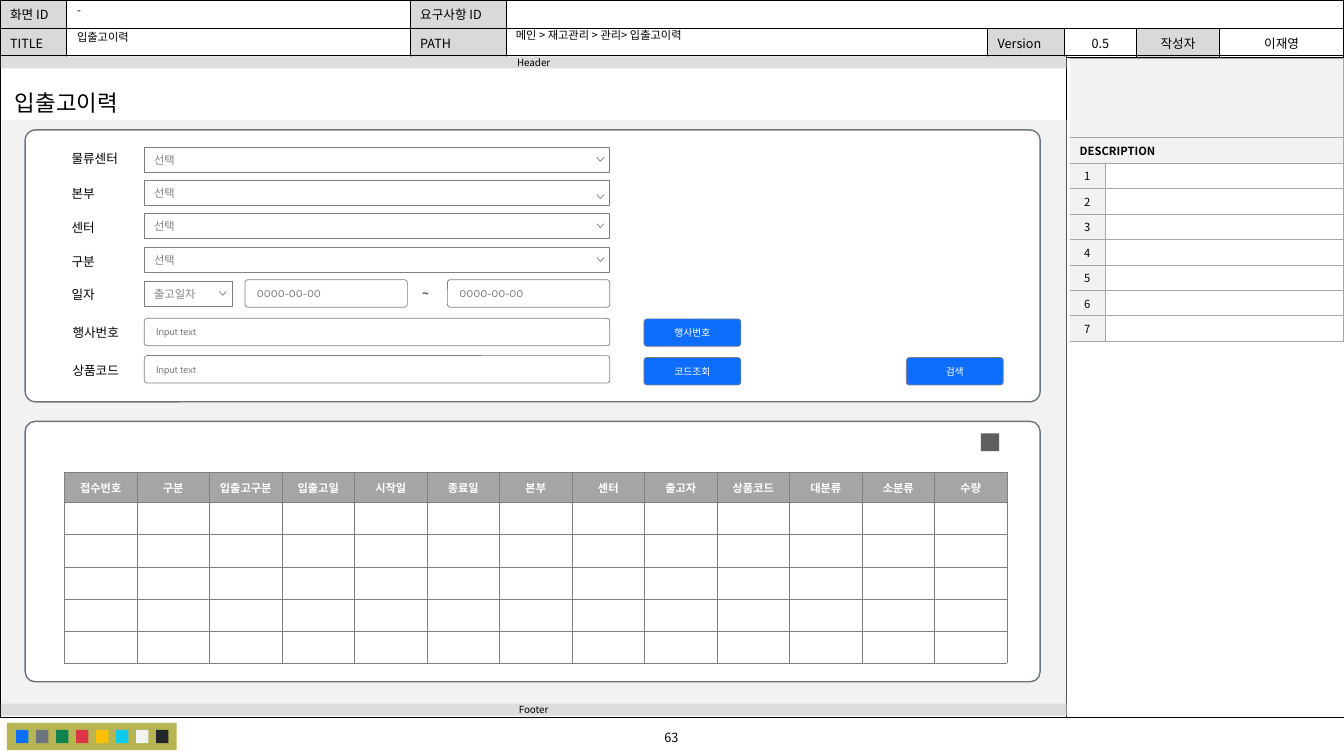
from lxml import etree
from pptx import Presentation
from pptx.dml.color import RGBColor
from pptx.enum.shapes import MSO_CONNECTOR, MSO_SHAPE
from pptx.enum.text import MSO_ANCHOR, PP_ALIGN
from pptx.oxml.ns import qn
from pptx.util import Pt

RECT, ROUND = MSO_SHAPE.RECTANGLE, MSO_SHAPE.ROUNDED_RECTANGLE
LEFT, CENTER = PP_ALIGN.LEFT, PP_ALIGN.CENTER
TOP, MIDDLE = MSO_ANCHOR.TOP, MSO_ANCHOR.MIDDLE
STRAIGHT = MSO_CONNECTOR.STRAIGHT
SANS, CABIN = "Noto Sans CJK KR", "Cabin"
BLACK, WHITE, GRAY, PALE = "000000", "FFFFFF", "808080", "F2F2F2"
SLATE, BLUE, LABEL, RULE = "6C757D", "0D6EFD", "D9D9D9", "A6A6A6"
DEFAULT_INSETS = (7.2, 3.6, 7.2, 3.6)
FIELD_LEFT, FIELD_WIDTH = 103, 332.6

PALETTE = [BLUE, SLATE, "10834E", "DC3545", "FFBE00", "0DCAF0", PALE, "212529"]
# label, left, top
LABELS = [("물류센터", 44, 104.4), ("본부", 44, 129.4), ("센터", 44, 153.4),
          ("구분", 44, 177.8), ("일자", 44, 201.6), ("행사번호", 44.7, 228.4),
          ("상품코드", 44.7, 255.6)]
# text, top, width, chevron drop
SELECTS = [("선택", 105.2, FIELD_WIDTH, 7.2), ("선택", 128.8, FIELD_WIDTH, 10.2),
           ("선택", 152.3, FIELD_WIDTH, 7.5), ("선택", 176.8, FIELD_WIDTH, 7.2),
           ("출고일자", 200.9, 62.8, 7.2)]
# text, left, top, width
INPUTS = [("0000-00-00", 175, 199.8, 116), ("0000-00-00", 319.6, 199.8, 116),
          ("Input text", FIELD_LEFT, 227.4, FIELD_WIDTH),
          ("Input text", FIELD_LEFT, 254, FIELD_WIDTH)]
BUTTONS = [("행사번호", 460, 227.8), ("코드조회", 460, 255.4), ("검색", 647.4, 255.4)]
HISTORY_COLUMNS = ["접수번호", "구분", "입출고구분", "입출고일", "시작일", "종료일", "본부",
                   "센터", "출고자", "상품코드", "대분류", "소분류", "수량"]
SCREEN_ROWS = [["화면 ID", "", "요구사항 ID", "", "", "", "", ""],
               ["TITLE", "", "PATH", "", "Version", "0.5", "작성자", "이재영"]]


def rgb(value):
    return RGBColor.from_string(value)


def write(tf, text, size, color=BLACK, font=SANS, align=LEFT, anchor=TOP,
          insets=DEFAULT_INSETS, wrap=True):
    tf.word_wrap = wrap
    tf.vertical_anchor = anchor
    tf.margin_left, tf.margin_top, tf.margin_right, tf.margin_bottom = map(Pt, insets)
    p = tf.paragraphs[0]
    p.alignment = align
    r = p.add_run()
    r.text = text
    style_run(r, size, color, font)
    return p


def style_run(r, size, color, font=SANS, bold=False):
    r.font.size = Pt(size)
    r.font.bold = bold
    r.font.name = font
    r.font.color.rgb = rgb(color)
    ea = etree.SubElement(r.font._element, qn("a:ea"))
    ea.set("typeface", SANS)


def text_box(s, x, y, w, h, text, size=9, **style):
    sp = s.shapes.add_textbox(Pt(x), Pt(y), Pt(w), Pt(h))
    return write(sp.text_frame, text, size, **style)


def paint(sp, fill, line, width):
    sp.shadow.inherit = False
    if fill:
        sp.fill.solid()
        sp.fill.fore_color.rgb = rgb(fill)
    else:
        sp.fill.background()
    if line:
        sp.line.color.rgb = rgb(line)
        sp.line.width = Pt(width)
    else:
        sp.line.fill.background()


def box(s, x, y, w, h, fill=None, line=None, width=0.5, kind=RECT, radius=0.108):
    sp = s.shapes.add_shape(kind, Pt(x), Pt(y), Pt(w), Pt(h))
    if kind == ROUND:
        sp.adjustments[0] = radius
    paint(sp, fill, line, width)
    return sp


def bar(s, y, text):
    sp = box(s, 0.7, y, 761, 8.6, "DDDDDD")
    write(sp.text_frame, text, 7, align=CENTER, anchor=MIDDLE)


def select(s, text, y, w, drop):
    sp = box(s, FIELD_LEFT, y, w, 18, WHITE, GRAY)
    write(sp.text_frame, text, 8, GRAY, CABIN, anchor=MIDDLE, insets=(7.2, 4.3, 20, 4.3))
    x, top = FIELD_LEFT + w - 9.2, y + drop
    builder = s.shapes.build_freeform(Pt(x + 5), Pt(top))
    builder.add_line_segments([(Pt(x + 2.5), Pt(top + 2.9)), (Pt(x), Pt(top))], close=False)
    paint(builder.convert_to_shape(), WHITE, GRAY, 0.5)


def field(s, text, x, y, w, fill=WHITE, color=GRAY, align=LEFT):
    sp = box(s, x, y, w, 19.6, fill, GRAY, kind=ROUND)
    write(sp.text_frame, text, 7, color, CABIN, align, MIDDLE, (8, 5, 8, 5))


def add_grid(s, x, y, widths, heights):
    frame = s.shapes.add_table(len(heights), len(widths), Pt(x), Pt(y),
                               Pt(sum(widths)), Pt(sum(heights)))
    table = frame.table
    table.first_row = table.horz_banding = False
    for column, w in zip(table.columns, widths):
        column.width = Pt(w)
    for row, h in zip(table.rows, heights):
        row.height = Pt(h)
    return table


def style_cell(cell, text, size, line, width, fill=None, color=BLACK, bold=False,
               align=LEFT, insets=DEFAULT_INSETS, open_left=False):
    cell.margin_left, cell.margin_top, cell.margin_right, cell.margin_bottom = map(Pt, insets)
    cell.vertical_anchor = MIDDLE
    p = cell.text_frame.paragraphs[0]
    p.alignment = align
    if text:
        r = p.add_run()
        r.text = text
        style_run(r, size, color, bold=bold)
    else:
        p.font.size = Pt(size)
    # Borders come before the fill
    tc_pr = cell._tc.get_or_add_tcPr()
    for side in "LRTB":
        ln = etree.SubElement(tc_pr, qn("a:ln" + side), w=str(Pt(width)))
        if side == "L" and open_left:
            etree.SubElement(ln, qn("a:noFill"))
        else:
            solid = etree.SubElement(ln, qn("a:solidFill"))
            etree.SubElement(solid, qn("a:srgbClr"), val=line)
    if fill:
        cell.fill.solid()
        cell.fill.fore_color.rgb = rgb(fill)
    else:
        cell.fill.background()


def screen_table(s):
    table = add_grid(s, 0, 0, [47.5, 245.5, 69, 343.5, 54.5, 52, 59, 89], [20, 20])
    for i, row in enumerate(SCREEN_ROWS):
        for j, text in enumerate(row):
            label = j in (0, 2) or (i == 1 and j in (4, 6))
            style_cell(table.cell(i, j), text, 9, BLACK, 0.5, LABEL if label else WHITE,
                       align=CENTER if j > 4 else LEFT)
    table.cell(0, 3).merge(table.cell(0, 7))


def description_table(s):
    table = add_grid(s, 764, 41.8, [25.2, 170.6], [56, 18.6] + [18.2] * 7)
    for i in range(9):
        heading = i < 2
        text = "DESCRIPTION" if i == 1 else "" if i == 0 else str(i - 1)
        style_cell(table.cell(i, 0), text, 8, RULE, 0.5, PALE, bold=heading,
                   align=LEFT if heading else CENTER, open_left=True,
                   insets=DEFAULT_INSETS if heading else (0, 0, 0, 0))
        style_cell(table.cell(i, 1), "", 8, RULE, 0.5, PALE if heading else None,
                   insets=(0, 0, 0, 0))
        if heading:
            table.cell(i, 0).merge(table.cell(i, 1))


def history_table(s):
    table = add_grid(s, 46.1, 337.3, [51.8] * len(HISTORY_COLUMNS), [21.5] + [23] * 5)
    for i in range(6):
        for j, name in enumerate(HISTORY_COLUMNS):
            style_cell(table.cell(i, j), "" if i else name, 8, GRAY, 0.25,
                       WHITE if i else "A5A5A5", WHITE, True, CENTER, (4.3, 2.9, 4.3, 2.9))


def main():
    prs = Presentation()
    prs.slide_width, prs.slide_height = Pt(960), Pt(540)
    s = prs.slides.add_slide(prs.slide_layouts[6])

    # Page frame and palette
    screen_table(s)
    box(s, 0, 39.6, 960, 472.4, line=BLACK, width=0.25)
    text_box(s, 386.6, 517.7, 185.8, 18, "63", align=CENTER)
    divider = s.shapes.add_connector(STRAIGHT, Pt(762), Pt(40.3), Pt(762), Pt(512))
    divider.line.color.rgb = rgb(BLACK)
    divider.line.width = Pt(0.5)
    etree.SubElement(divider._element.spPr, qn("a:effectLst"))
    box(s, 5, 516.4, 121.2, 19.4, "B7B553")
    for i, color in enumerate(PALETTE):
        box(s, 11.5 + 14.3 * i, 521.4, 8.8, 9.4, color)
    box(s, 1.4, 85.8, 760.4, 425.6, PALE)
    bar(s, 502.6, "Footer")
    bar(s, 40.3, "Header")

    # Cards, description and titles
    box(s, 18, 301, 725, 186, WHITE, SLATE, 1, ROUND, 0.038)
    description_table(s)
    for text, x, y, w in [("메인 > 재고관리 > 관리> 입출고이력", 361.4, 18, 341),
                          ("-", 48, 0, 245), ("입출고이력", 48, 19, 243)]:
        text_box(s, x, y, w, 16, text, 8).line_spacing = 0.9
    text_box(s, 3.6, 59.8, 95, 26.6, "입출고이력", 16, wrap=False)
    box(s, 18, 92.8, 725, 194.2, WHITE, SLATE, 1, ROUND, 0.038)

    # Search form
    for text, x, y in LABELS:
        text_box(s, x, y, 54, 18, text)
    for item in SELECTS:
        select(s, *item)
    for item in INPUTS:
        field(s, *item)
    text_box(s, 294.5, 201, 23.8, 18, "~")
    for text, x, y in BUTTONS:
        field(s, text, x, y, 69.2, BLUE, WHITE, CENTER)

    # Result list with its export button
    history_table(s)
    box(s, 700.6, 309.6, 13, 12.6, "5F5F5F")
    prs.save("out.pptx")


if __name__ == "__main__":
    main()
